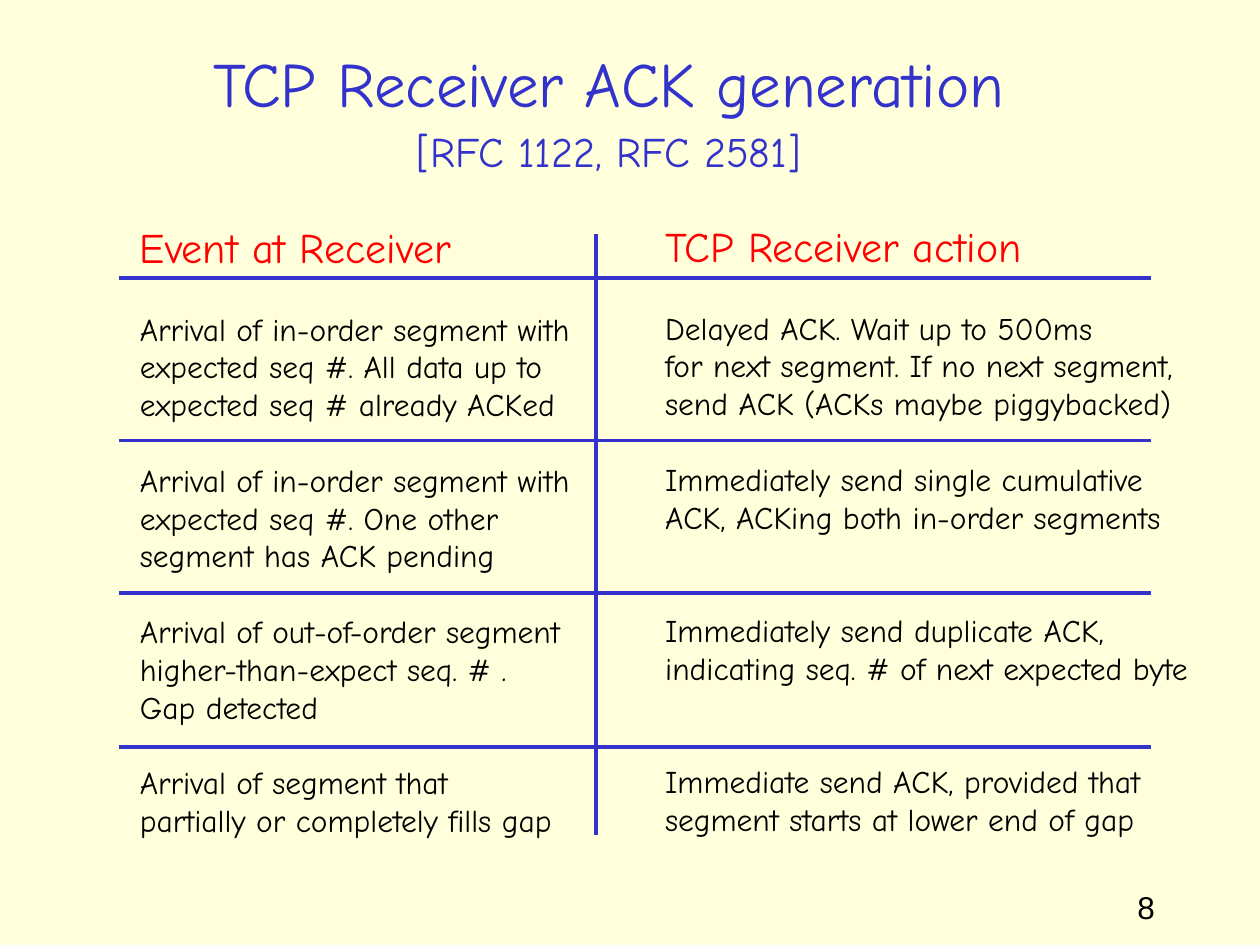
from dataclasses import dataclass

from lxml import etree
from pptx import Presentation
from pptx import util as u
from pptx.dml.color import RGBColor
from pptx.enum import shapes, text
from pptx.oxml.ns import qn


@dataclass(frozen=True)
class Theme:
    background: RGBColor = RGBColor.from_string("FFFFDB")
    accent: RGBColor = RGBColor.from_string("3333CC")
    heading: RGBColor = RGBColor.from_string("FF0000")
    ink: RGBColor = RGBColor.from_string("000000")
    hand_font: str = "Comic Neue"
    number_font: str = "Arial"
    title_size: int = 36
    heading_size: int = 24
    body_size: int = 18
    body_line: float = 21.6
    rule_width: float = 2.25


LEFT, RIGHT = 2.4, 23.2
ROW_RULES = (5.6, 8.88, 11.96, 15.05)
DIVIDER_X, DIVIDER_TOP, DIVIDER_BOTTOM = 12.01, 4.72, 16.84
ROW_LINES = 3  # every row of the grid is as tall as three lines of text

EVENTS = [
    ["Arrival of in-order segment with", "expected seq #. All data up to",
     "expected seq # already ACKed"],
    ["Arrival of in-order segment with", "expected seq #. One other",
     "segment has ACK pending"],
    ["Arrival of out-of-order segment", "higher-than-expect seq. # .",
     "Gap detected"],
    ["Arrival of segment that", "partially or completely fills gap"],
]
ACTIONS = [
    ["Delayed ACK. Wait up to 500ms", "for next segment. If no next segment,",
     "send ACK (ACKs maybe piggybacked)"],
    ["Immediately send single cumulative", "ACK, ACKing both in-order segments"],
    ["Immediately send duplicate ACK,",
     "indicating seq. # of next expected byte"],
    ["Immediate send ACK, provided that", "segment starts at lower end of gap"],
]


class SlideBuilder:
    def __init__(self, prs, theme):
        self.theme = theme
        self.s = prs.slides.add_slide(prs.slide_layouts[5])
        fill = self.s.background.fill
        fill.solid()
        fill.fore_color.rgb = theme.background

    def style(self, p, size, color, font=None):
        for r in p.runs:
            r.font.size = u.Pt(size)
            r.font.name = font or self.theme.hand_font
            r.font.color.rgb = color

    def title(self, heading, source, x, y, w, h):
        t = self.theme
        sp = self.s.shapes.title
        sp.left, sp.top, sp.width, sp.height = map(u.Cm, (x, y, w, h))
        tf = sp.text_frame
        tf.auto_size = text.MSO_AUTO_SIZE.NONE
        tf.vertical_anchor = text.MSO_ANCHOR.MIDDLE
        tf.text = f"{heading}\n{source}"
        for p, size in zip(tf.paragraphs, (t.title_size, t.heading_size)):
            p.alignment = text.PP_ALIGN.CENTER
            self.style(p, size, t.accent)
        tf.paragraphs[0].space_after = u.Pt(3)

    def column(self, heading, rows, x, y, w, h):
        """Add a heading and its rows, padded so both columns stay level."""
        t = self.theme
        tf = self.s.shapes.add_textbox(*map(u.Cm, (x, y, w, h))).text_frame
        tf.word_wrap = False
        tf.auto_size = text.MSO_AUTO_SIZE.SHAPE_TO_FIT_TEXT
        tf.text = heading
        self.style(tf.paragraphs[0], t.heading_size, t.heading)
        gap = 1
        for lines in rows:
            for i, line in enumerate(lines):
                p = tf.add_paragraph()
                p.text = line
                p.space_before = u.Pt(0 if i else gap * t.body_line)
                self.style(p, t.body_size, t.ink)
            gap = 1 + ROW_LINES - len(lines)

    def rule(self, x1, y1, x2, y2):
        line = self.s.shapes.add_connector(
            shapes.MSO_CONNECTOR.STRAIGHT, *map(u.Cm, (x1, y1, x2, y2)))
        line.line.color.rgb = self.theme.accent
        line.line.width = u.Pt(self.theme.rule_width)
        etree.SubElement(line._element.spPr, qn("a:effectLst"))

    def page_number(self, number, x, y, w, h):
        t = self.theme
        tf = self.s.shapes.add_textbox(*map(u.Cm, (x, y, w, h))).text_frame
        tf.word_wrap = True
        tf.text = str(number)
        self.style(tf.paragraphs[0], t.body_size, t.ink, t.number_font)


def main():
    prs = Presentation()
    prs.slide_width, prs.slide_height = u.Cm(25.4), u.Cm(19.05)
    b = SlideBuilder(prs, Theme())
    b.title("TCP Receiver ACK generation", "[RFC 1122, RFC 2581]",
            1.47, 0.64, 21.6, 3.18)
    b.column("Event at Receiver", EVENTS, 2.57, 4.34, 9.2, 14.22)
    b.column("TCP Receiver action", ACTIONS, 13.16, 4.32, 11.07, 14.22)
    for y in ROW_RULES:
        b.rule(LEFT, y, RIGHT, y)
    b.rule(DIVIDER_X, DIVIDER_TOP, DIVIDER_X, DIVIDER_BOTTOM)
    b.page_number(8, 22.68, 17.78, 1.88, 1.27)
    prs.save("out.pptx")


if __name__ == "__main__":
    main()
